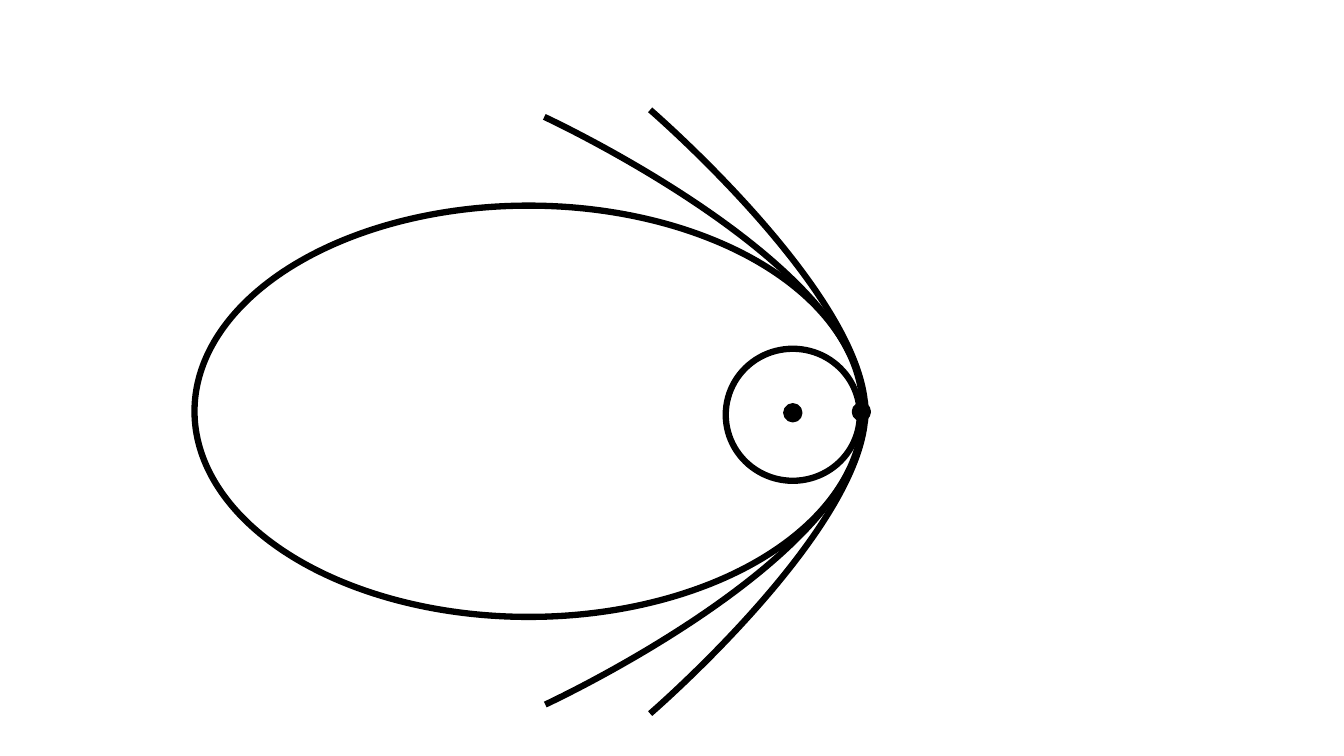
"""Draw the four conic orbits that share one focus and one periapsis."""
from dataclasses import dataclass

from lxml.etree import SubElement
from pptx import Presentation
from pptx.dml.color import RGBColor
from pptx.enum.shapes import MSO_SHAPE as Preset
from pptx.oxml.ns import qn
from pptx.util import Inches, Pt

CELL = Inches(0.1)
COLUMNS, ROWS = 133.33, 75
INK = "000000"
ORBIT_WEIGHT, BODY_WEIGHT = 4.5, 3


@dataclass(frozen=True)
class Oval:
    column: float
    row: float
    columns: float
    rows: float
    weight: float = ORBIT_WEIGHT
    fill: str | None = None


@dataclass(frozen=True)
class OpenOrbit:
    axis_row: float
    vertex: tuple[float, float]
    bend: tuple[float, float]
    end: tuple[float, float]
    upper_shift: float = 0


def body(column: float, row: float) -> Oval:
    return Oval(column, row, 1.5, 1.5, BODY_WEIGHT, INK)


ELLIPSE = Oval(19.3, 20.4, 66.3, 40.8)
CIRCLE = Oval(72, 34.6, 13.3, 13.1)
FOCUS = body(77.9, 40.2)
PERIAPSIS = body(84.7, 40.1)
PARABOLA = OpenOrbit(40.75, (85.7, -0.15), (86.7, 14.05), (54.1, 29.15), -0.1)
HYPERBOLA = OpenOrbit(40.85, (85.8, -1.05), (87.1, 10.45), (64.5, 29.95))


def cells(count: float) -> int:
    return round(count * CELL)


def colour(hex_code: str) -> RGBColor:
    return RGBColor.from_string(hex_code)


def style(shape, weight: float, fill: str | None = None) -> None:
    shape.shadow.inherit = False
    shape.line.color.rgb = colour(INK)
    shape.line.width = Pt(weight)
    if fill:
        shape.fill.solid()
        shape.fill.fore_color.rgb = colour(fill)
    else:
        shape.fill.background()


def draw_oval(slide, oval: Oval) -> None:
    frame = map(cells, (oval.column, oval.row, oval.columns, oval.rows))
    style(slide.shapes.add_shape(Preset.OVAL, *frame), oval.weight, oval.fill)


def draw_branch(slide, orbit: OpenOrbit, side: int, shift: float) -> None:
    vertex, bend, end = (
        (cells(column + shift), cells(orbit.axis_row + side * offset))
        for column, offset in (orbit.vertex, orbit.bend, orbit.end)
    )
    outline = slide.shapes.build_freeform(*vertex)
    outline.add_line_segments([end], close=False)
    branch = outline.convert_to_shape()
    segment = branch._element.xpath(".//a:lnTo")[0]
    segment.tag = qn("a:cubicBezTo")
    segment.clear()
    for x, y in (bend, end, end):
        SubElement(segment, qn("a:pt"), x=str(x - branch.left), y=str(y - branch.top))
    style(branch, ORBIT_WEIGHT)


def draw_open_orbit(slide, orbit: OpenOrbit) -> None:
    draw_branch(slide, orbit, 1, 0)
    draw_branch(slide, orbit, -1, orbit.upper_shift)


def main() -> None:
    deck = Presentation()
    deck.slide_width, deck.slide_height = cells(COLUMNS), cells(ROWS)
    slide = deck.slides.add_slide(deck.slide_layouts[6])
    for oval in (ELLIPSE, FOCUS, CIRCLE):
        draw_oval(slide, oval)
    draw_open_orbit(slide, PARABOLA)
    draw_oval(slide, PERIAPSIS)
    draw_open_orbit(slide, HYPERBOLA)
    deck.save("out.pptx")


if __name__ == "__main__":
    main()
